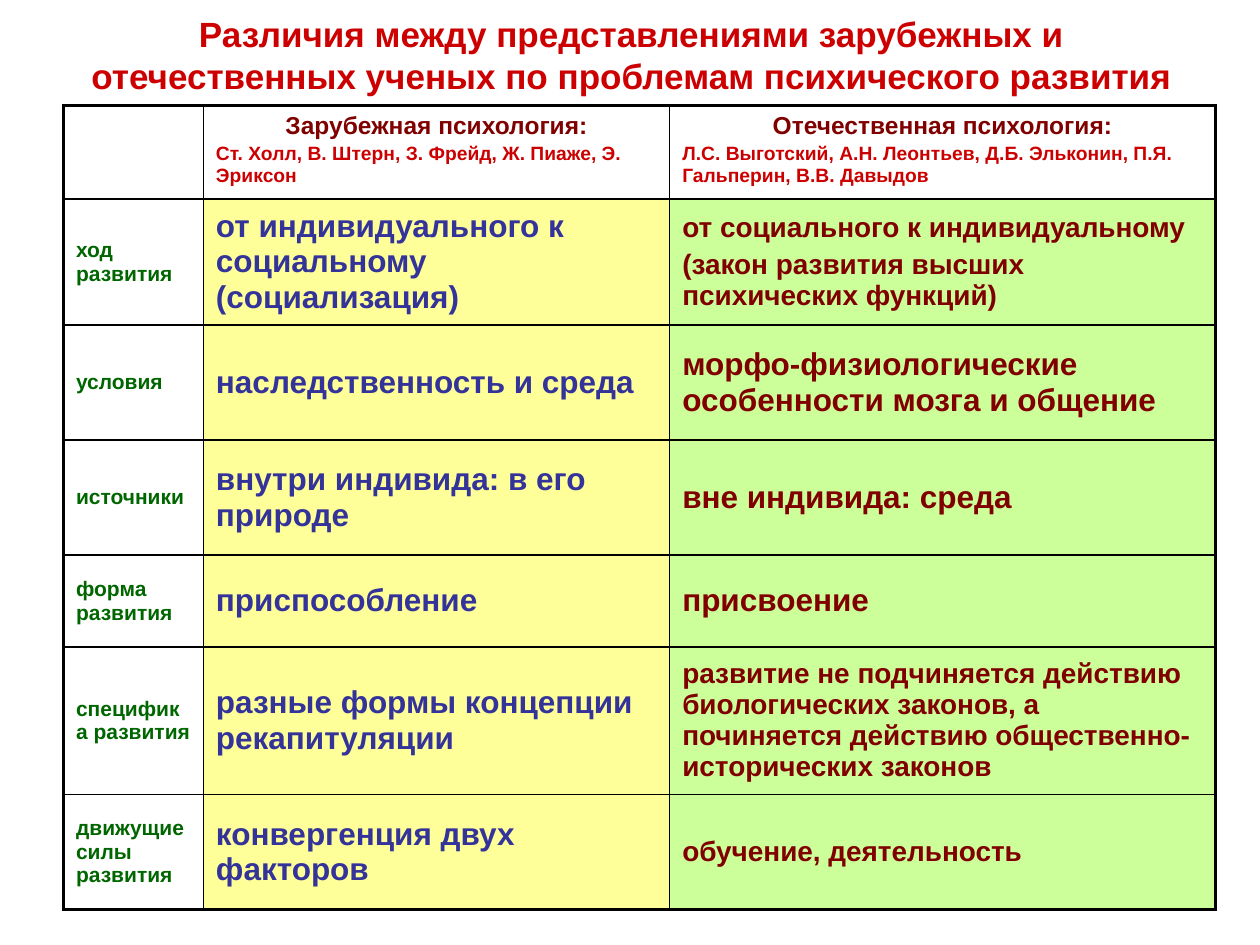
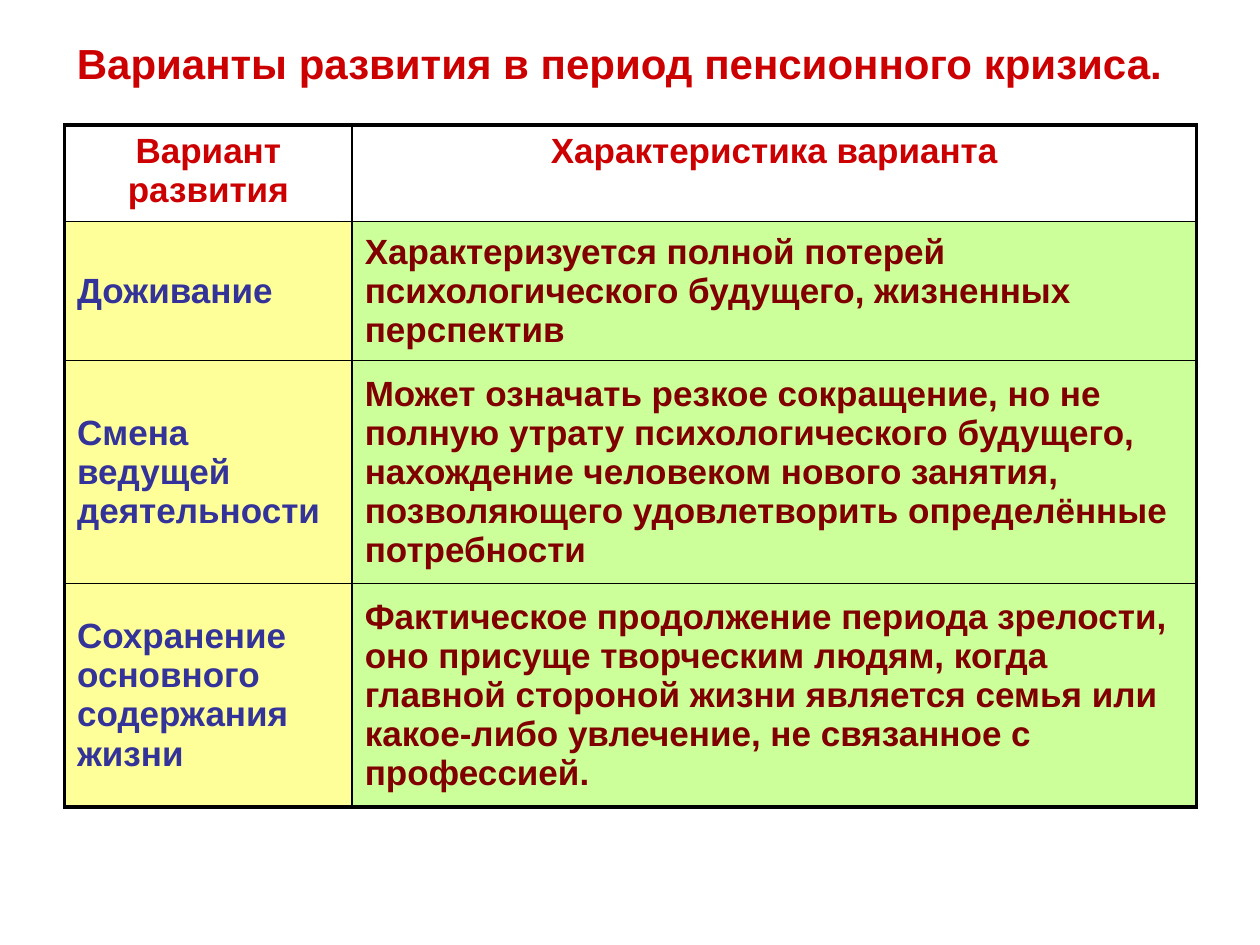
from lxml.etree import SubElement
from pptx import Presentation
from pptx.dml.color import RGBColor
from pptx.enum.text import MSO_ANCHOR, PP_ALIGN
from pptx.oxml import parse_xml
from pptx.oxml.ns import nsdecls, qn
from pptx.util import Cm, Pt

FONT = "Arial"
RED = RGBColor(0xCC, 0x00, 0x00)
MAROON = RGBColor(0x80, 0x00, 0x00)
GREEN = RGBColor(0x00, 0x66, 0x00)
INDIGO = RGBColor(0x33, 0x33, 0x99)
BLACK = RGBColor(0x00, 0x00, 0x00)
WHITE = RGBColor(0xFF, 0xFF, 0xFF)
YELLOW = RGBColor(0xFF, 0xFF, 0x99)
LIME = RGBColor(0xCC, 0xFF, 0x99)
OUTER, INNER = Pt(2.25), Pt(1)

THEORY_HEADER = [
    ("Зарубежная психология:", "Ст. Холл, В. Штерн, З. Фрейд, Ж. Пиаже, Э. Эриксон"),
    ("Отечественная психология:",
     "Л.С. Выготский, А.Н. Леонтьев, Д.Б. Эльконин, П.Я. Гальперин, В.В. Давыдов"),
]
THEORY_ROWS = [
    ("ход развития", "от индивидуального к социальному (социализация)", 16,
     ["от социального к индивидуальному", "(закон развития высших психических функций)"]),
    ("условия", "наследственность и среда", 18,
     ["морфо-физиологические особенности мозга и общение"]),
    ("источники", "внутри индивида: в его природе", 18, ["вне индивида: среда"]),
    ("форма развития", "приспособление", 18, ["присвоение"]),
    ("специфика развития", "разные формы концепции рекапитуляции", 16,
     ["развитие не подчиняется действию биологических законов, "
      "а починяется действию общественно-исторических законов"]),
    ("движущие силы развития", "конвергенция двух факторов", 16, ["обучение, деятельность"]),
]
CRISIS_HEADER = ("Вариант развития", "Характеристика варианта")
CRISIS_ROWS = [
    ("Доживание",
     "Характеризуется полной потерей психологического будущего, жизненных перспектив"),
    ("Смена ведущей деятельности",
     "Может означать резкое сокращение, но не полную утрату психологического будущего, "
     "нахождение человеком нового занятия, позволяющего удовлетворить определённые потребности"),
    ("Сохранение основного содержания жизни",
     "Фактическое продолжение периода зрелости, оно присуще творческим людям, когда главной "
     "стороной жизни является семья или какое-либо увлечение, не связанное с профессией."),
]


def write(p, text, size, color, align=PP_ALIGN.LEFT):
    """Add one bold run to a paragraph."""
    p.alignment = align
    r = p.add_run()
    r.text = text
    r.font.name = FONT
    r.font.size = Pt(size)
    r.font.bold = True
    r.font.color.rgb = color


def add_title(s, box, text, size, align):
    """Place the red slide title in its box."""
    tf = s.shapes.add_textbox(*map(Cm, box)).text_frame
    tf.word_wrap = True
    tf.vertical_anchor = MSO_ANCHOR.MIDDLE
    write(tf.paragraphs[0], text, size, RED, align)


def set_borders(cell, widths):
    """Draw the left, right, top and bottom borders of a cell."""
    tcPr = cell._tc.get_or_add_tcPr()
    for i, (side, width) in enumerate(zip("LRTB", widths)):
        ln = parse_xml(f'<a:ln{side} {nsdecls("a")} w="{width}"/>')
        fill = SubElement(ln, qn("a:solidFill"))
        SubElement(fill, qn("a:srgbClr"), val=str(BLACK))
        tcPr.insert(i, ln)


def fill_cell(cell, paragraphs, fill, anchor):
    """Write the paragraphs of a cell and colour it."""
    cell.fill.solid()
    cell.fill.fore_color.rgb = fill
    cell.vertical_anchor = anchor
    for i, (text, size, color, align) in enumerate(paragraphs):
        p = cell.text_frame.add_paragraph() if i else cell.text_frame.paragraphs[0]
        if i:
            p.space_before = Pt(size * 0.2)
        write(p, text, size, color, align)


def add_grid(s, left, top, widths, heights, rows, fills):
    """Build a framed table with a white header and coloured columns."""
    table = s.shapes.add_table(len(heights), len(widths), Cm(left), Cm(top),
                               Cm(sum(widths)), Cm(sum(heights))).table
    table.first_row = table.horz_banding = False
    for column, width in zip(table.columns, widths):
        column.width = Cm(width)
    for row, height in zip(table.rows, heights):
        row.height = Cm(height)
    last_row, last_col = len(heights) - 1, len(widths) - 1
    for y, row in enumerate(rows):
        for x, paragraphs in enumerate(row):
            cell = table.cell(y, x)
            fill_cell(cell, paragraphs, fills[x] if y else WHITE,
                      MSO_ANCHOR.MIDDLE if y else MSO_ANCHOR.TOP)
            edges = (x == 0, x == last_col, y == 0, y == last_row)
            set_borders(cell, [OUTER if edge else INNER for edge in edges])


def add_theory_slide(prs):
    """Compare foreign and domestic views of mental development."""
    s = prs.slides.add_slide(prs.slide_layouts[6])
    add_title(s, (1.3, 0.33, 22.86, 1.55),
              "Различия между представлениями зарубежных и отечественных ученых "
              "по проблемам психического развития", 20, PP_ALIGN.CENTER)
    rows = [[[]] + [[(school, 14, MAROON, PP_ALIGN.CENTER), (names, 11, RED, PP_ALIGN.LEFT)]
                    for school, names in THEORY_HEADER]]
    for aspect, foreign, size, domestic in THEORY_ROWS:
        rows.append([[(aspect, 12, GREEN, PP_ALIGN.LEFT)],
                     [(foreign, 18, INDIGO, PP_ALIGN.LEFT)],
                     [(text, size, MAROON, PP_ALIGN.LEFT) for text in domestic]])
    add_grid(s, 1.28, 2.13, [2.82, 9.4, 11], [1.88, 2.54, 2.32, 2.32, 1.85, 2.97, 2.32],
             rows, [WHITE, YELLOW, LIME])


def add_crisis_slide(prs):
    """List the ways of development during the retirement crisis."""
    s = prs.slides.add_slide(prs.slide_layouts[6])
    add_title(s, (1.3, 0.48, 22.86, 1.55),
              "Варианты развития в период пенсионного кризиса.", 24, PP_ALIGN.LEFT)
    rows = [[[(text, 20, RED, PP_ALIGN.CENTER)] for text in CRISIS_HEADER]]
    for texts in CRISIS_ROWS:
        rows.append([[(text, 20, color, PP_ALIGN.LEFT)]
                     for text, color in zip(texts, (INDIGO, MAROON))])
    add_grid(s, 1.3, 2.52, [5.8, 17.02], [1.95, 2.79, 4.5, 4.5], rows, [YELLOW, LIME])


def main():
    """Build and save the presentation."""
    prs = Presentation()
    prs.slide_width, prs.slide_height = Cm(25.4), Cm(19.05)
    add_theory_slide(prs)
    add_crisis_slide(prs)
    prs.save("out.pptx")


if __name__ == "__main__":
    main()
